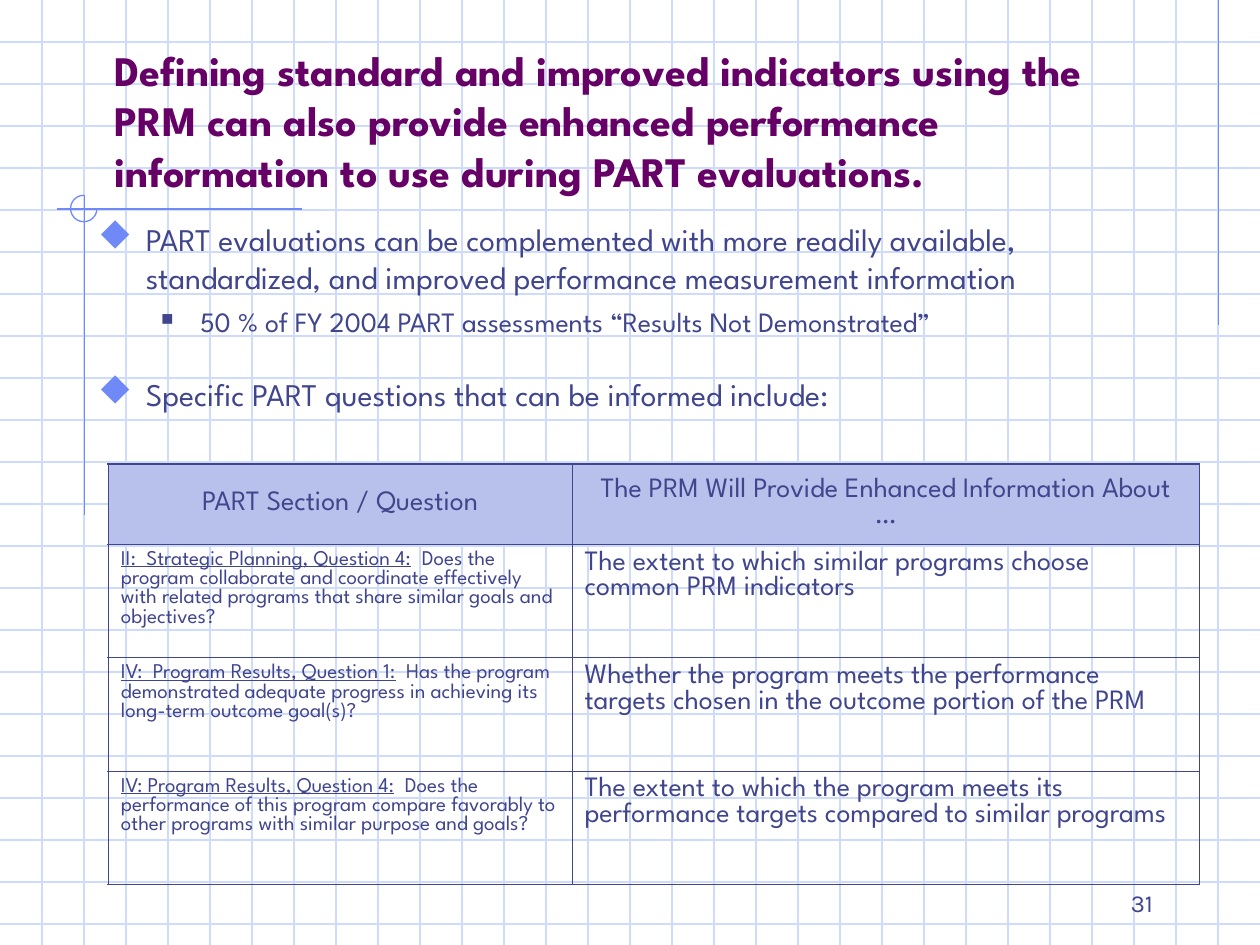
from lxml import etree
from pptx import Presentation, util as u
from pptx.dml.color import RGBColor
from pptx.enum import shapes, text
from pptx.oxml.ns import qn

WIDTH, HEIGHT = 10, 7.5
GRID = 1 / 3
FONT, NUMBER_FONT, MARK_FONT = "League Spartan", "Karla", "Wingdings"
COLORS = {"grid": "CFDBFD", "accent": "6F89F7", "title": "660066",
          "ink": "40458C", "header": "B7C1EB"}

TITLE = ("Defining standard and improved indicators using the PRM can also provide "
         "enhanced performance information to use during PART evaluations.")
PAGE_NUMBER = "31"

# text, level, space before in points
BULLETS = [
    ("PART evaluations can be complemented with more readily available, "
     "standardized, and improved performance measurement information", 0, 0),
    ("50 % of FY 2004 PART assessments “Results Not Demonstrated”", 1, 2),
    ("Specific PART questions that can be informed include:", 0, 18),
]
# per level: left margin, hanging indent, mark, mark colour, mark size %, text size
# in the mark font, "u" is a diamond and "n" a square
LEVELS = [(0.38, 0.38, "u", "accent", 110, 18),
          (0.81, 0.31, "n", "ink", 60, 16)]

HEADERS = ["PART Section / Question",
           "The PRM Will Provide Enhanced Information About\v…"]
# section, question, what the PRM adds
QUESTIONS = [
    ("II:  Strategic Planning, Question 4:",
     "  Does the program collaborate and coordinate effectively with related "
     "programs that share similar goals and objectives?",
     "The extent to which similar programs choose common PRM indicators"),
    ("IV:  Program Results, Question 1:",
     "  Has the program demonstrated adequate progress in achieving its "
     "long-term outcome goal(s)?",
     "Whether the program meets the performance targets chosen in the outcome "
     "portion of the PRM"),
    ("IV: Program Results, Question 4:",
     "  Does the performance of this program compare favorably to other programs "
     "with similar purpose and goals?",
     "The extent to which the program meets its performance targets compared to "
     "similar programs"),
]
COLUMN_WIDTHS = [3.68, 4.98]
ROW_HEIGHTS = [0.64] + [0.9] * len(QUESTIONS)
THICK, THIN = 1.08, 0.45

ACCENT_LINES = [(9.67, 0, 9.67, 2.58), (2.4, 1.66, 0.45, 1.66), (0.67, 1.55, 0.67, 4.09)]


def rgb(name):
    return RGBColor.from_string(COLORS[name])


def inches(*values):
    return [u.Inches(value) for value in values]


def add_line(page, ends, color):
    line = page.shapes.add_connector(shapes.MSO_CONNECTOR.STRAIGHT, *inches(*ends))
    line.line.color.rgb = rgb(color)
    line.line.width = u.Pt(0.75)
    etree.SubElement(line._element.spPr, qn("a:effectLst"))


def add_box(page, place, anchor=text.MSO_ANCHOR.TOP):
    frame = page.shapes.add_textbox(*inches(*place)).text_frame
    frame.word_wrap = True
    frame.vertical_anchor = anchor
    return frame


def style(para, size, color="ink", font=FONT, bold=False):
    para.font.size = u.Pt(size)
    para.font.name = font
    para.font.bold = bold
    para.font.color.rgb = rgb(color)


def add_mark(para, left, hanging, mark, color, percent):
    """Give the paragraph a bullet with a hanging indent."""
    props = para._p.get_or_add_pPr()
    props.set("marL", str(u.Inches(left)))
    props.set("indent", str(-u.Inches(hanging)))
    holder = etree.SubElement(props, qn("a:buClr"))
    etree.SubElement(holder, qn("a:srgbClr"), val=COLORS[color])
    etree.SubElement(props, qn("a:buSzPct"), val=str(percent * 1000))
    etree.SubElement(props, qn("a:buFont"), typeface=MARK_FONT, charset="2")
    etree.SubElement(props, qn("a:buChar"), char=mark)


def add_borders(cell, row, column):
    """Thick on the outside of the table, thin between cells."""
    outer = {"L": column == 0, "R": column == len(COLUMN_WIDTHS) - 1,
             "T": row == 0, "B": row == len(ROW_HEIGHTS) - 1}
    props = cell._tc.get_or_add_tcPr()
    for side, is_outer in outer.items():
        edge = etree.SubElement(props, qn("a:ln" + side),
                                w=str(u.Pt(THICK if is_outer else THIN)))
        fill = etree.SubElement(edge, qn("a:solidFill"))
        etree.SubElement(fill, qn("a:srgbClr"), val=COLORS["ink"])


def add_background(page):
    for step in range(1, int(HEIGHT / GRID) + 1):
        add_line(page, (0, step * GRID, WIDTH, step * GRID), "grid")
    for step in range(1, round(WIDTH / GRID)):
        add_line(page, (step * GRID, 0, step * GRID, HEIGHT), "grid")
    for ends in ACCENT_LINES:
        add_line(page, ends, "accent")
    arc = page.shapes.add_shape(shapes.MSO_SHAPE.ARC, *inches(0.56, 1.55, 0.21, 0.21))
    arc.adjustments[0] = 0
    arc.adjustments[1] = 162  # 270 degrees: three quarters of a circle
    arc.shadow.inherit = False
    arc.fill.background()
    arc.line.color.rgb = rgb("accent")
    arc.line.width = u.Pt(0.75)


def add_bullets(page):
    frame = add_box(page, (0.68, 1.7, 8.86, 1.8))
    for index, (words, level, before) in enumerate(BULLETS):
        para = frame.paragraphs[0] if index == 0 else frame.add_paragraph()
        *mark, size = LEVELS[level]
        para.text = words
        para.level = level
        add_mark(para, *mark)
        para.space_before, para.space_after = u.Pt(before), u.Pt(3)
        style(para, size)


def add_questions(page):
    table = page.shapes.add_table(
        len(ROW_HEIGHTS), len(COLUMN_WIDTHS),
        *inches(0.86, 3.68, sum(COLUMN_WIDTHS), sum(ROW_HEIGHTS))).table
    table.first_row = table.horz_banding = False
    for column, width in zip(table.columns, COLUMN_WIDTHS):
        column.width = u.Inches(width)
    for row, height in zip(table.rows, ROW_HEIGHTS):
        row.height = u.Inches(height)

    rows = [HEADERS] + [((section, question), gain) for section, question, gain in QUESTIONS]
    for r, row in enumerate(rows):
        for c, content in enumerate(row):
            cell = table.cell(r, c)
            add_borders(cell, r, c)
            para = cell.text_frame.paragraphs[0]
            if r == 0:
                cell.fill.solid()
                cell.fill.fore_color.rgb = rgb("header")
                cell.vertical_anchor = text.MSO_ANCHOR.MIDDLE
                para.alignment = text.PP_ALIGN.CENTER
            else:
                cell.fill.background()
            if isinstance(content, tuple):
                for position, words in enumerate(content):
                    span = para.add_run()
                    span.text = words
                    span.font.underline = position == 0
                style(para, 12)
            else:
                para.text = content
                style(para, 16)


def main():
    deck = Presentation()
    deck.slide_width, deck.slide_height = inches(WIDTH, HEIGHT)
    page = deck.slides.add_slide(deck.slide_layouts[6])
    add_background(page)

    title = add_box(page, (0.81, 0.35, 8.5, 1.25), text.MSO_ANCHOR.BOTTOM)
    title.text = TITLE
    style(title.paragraphs[0], 24, "title", bold=True)

    add_bullets(page)
    add_questions(page)

    number = add_box(page, (7.17, 6.83, 2.08, 0.5), text.MSO_ANCHOR.BOTTOM)
    number.text = PAGE_NUMBER
    number.paragraphs[0].alignment = text.PP_ALIGN.RIGHT
    style(number.paragraphs[0], 14, font=NUMBER_FONT)
    deck.save("out.pptx")


if __name__ == "__main__":
    main()
